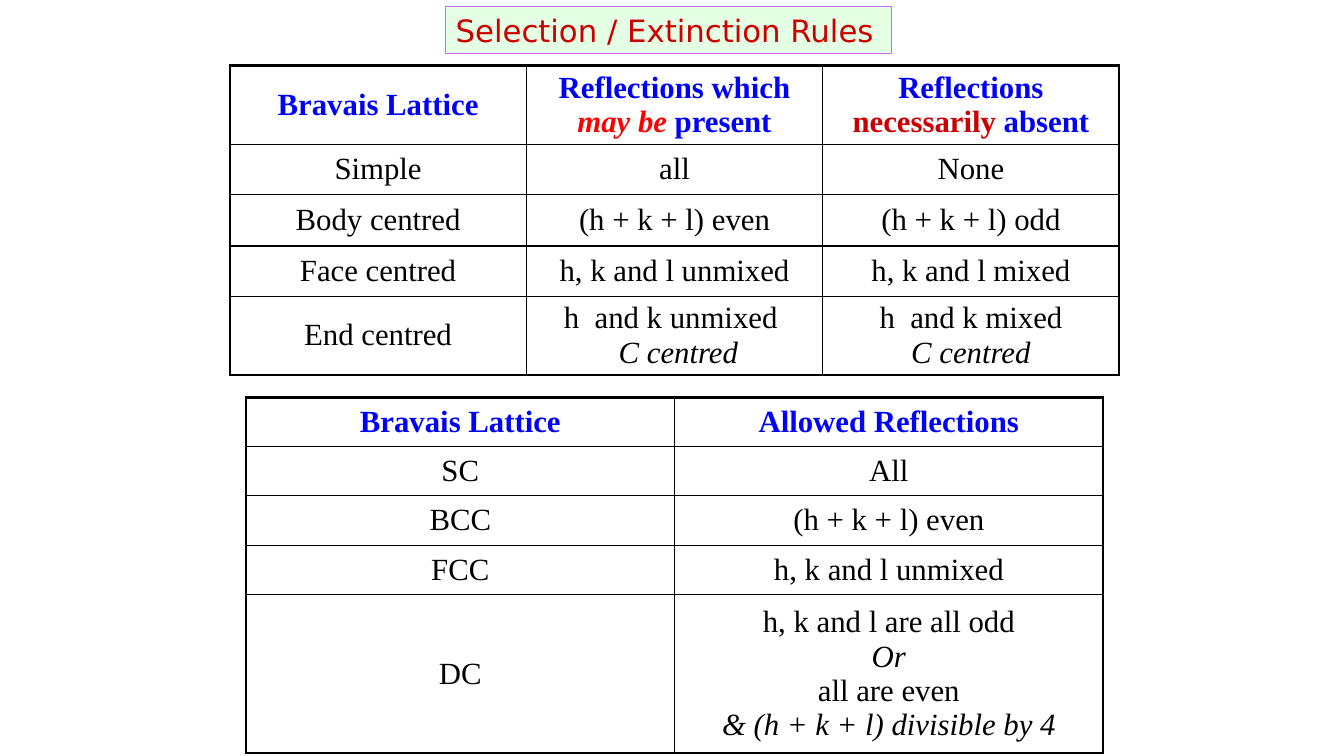
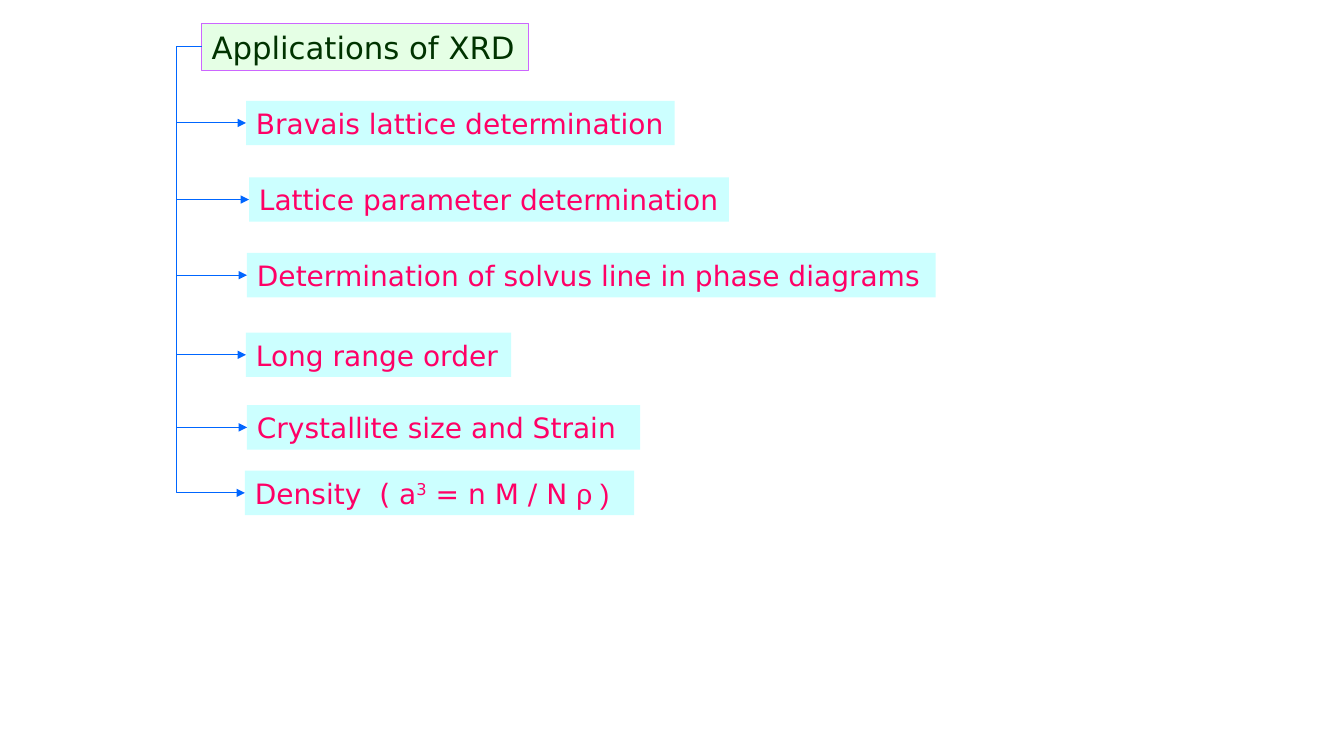
"""Build two slides on X-ray reflection rules and uses of XRD."""
from dataclasses import dataclass, replace

from lxml.etree import SubElement as Sub
from pptx import Presentation
from pptx.dml.color import RGBColor as Rgb
from pptx.enum.shapes import MSO_CONNECTOR as Link
from pptx.enum.text import MSO_ANCHOR as Anchor, PP_ALIGN as Align
from pptx.oxml.ns import qn
from pptx.shapes.autoshape import Shape
from pptx.slide import Slide
from pptx.table import _Cell as Cell
from pptx.text.text import TextFrame as Frame
from pptx.util import Inches, Pt

SANS, SERIF = "DejaVu Sans", "Times New Roman"
BLACK, BLUE, RED, BRICK = "000000", "0000FF", "FF0000", "CC0000"
MINT, LILAC, GREEN = "E5FFE5", "CC66FF", "003300"
AQUA, PINK, AZURE = "CCFFFF", "FF0066", "0066FF"
THICK, THIN = 2.25, 1
TRUNK = 1.75


@dataclass(frozen=True)
class Bit:
    text: str
    color: str = BLACK
    bold: bool = False
    slant: bool = False
    font: str = SERIF
    size: int = 22
    base: int = 0


@dataclass(frozen=True)
class Box:
    left: float
    top: float
    width: float
    height: float
    bits: list[Bit]
    fill: str
    edge: str = ""


@dataclass(frozen=True)
class Grid:
    left: float
    top: float
    cols: list[float]
    rows: list[float]
    cells: list[list[list[Bit]]]


def hue(code: str) -> Rgb:
    return Rgb.from_string(code)


def head(text: str, color: str = BLUE, slant: bool = False) -> Bit:
    return Bit(text, color, True, slant)


def it(text: str) -> Bit:
    return Bit(text, slant=True)


def row(*texts: str) -> list[list[Bit]]:
    return [[Bit(text)] for text in texts]


def write(frame: Frame, bits: list[Bit], align: Align) -> None:
    para = frame.paragraphs[0]
    para.alignment = align
    for bit in bits:
        for num, line in enumerate(bit.text.split("\n")):
            if num:
                para.add_line_break()
            if not line:
                continue
            run = para.add_run()
            run.text = line
            font = run.font
            font.name, font.size = bit.font, Pt(bit.size)
            font.bold, font.italic = bit.bold, bit.slant
            font.color.rgb = hue(bit.color)
            if bit.base:
                run._r.get_or_add_rPr().set("baseline", str(bit.base * 1000))


def draw_box(slide: Slide, box: Box) -> Shape:
    shape = slide.shapes.add_textbox(
        *map(Inches, (box.left, box.top, box.width, box.height)))
    shape.fill.solid()
    shape.fill.fore_color.rgb = hue(box.fill)
    if box.edge:
        shape.line.color.rgb = hue(box.edge)
        shape.line.width = Pt(0.5)
    frame = shape.text_frame
    frame.word_wrap = True
    frame.margin_right = 0
    frame.vertical_anchor = Anchor.MIDDLE
    write(frame, box.bits, Align.LEFT)
    return shape


def title(left: float, top: float, width: float, text: str, color: str) -> Box:
    return Box(left, top, width, 0.47, [Bit(text, color, font=SANS)], MINT, LILAC)


def rule(cell: Cell, sides: dict[str, float]) -> None:
    props = cell._tc.get_or_add_tcPr()
    for side, width in sides.items():
        line = Sub(props, qn(f"a:ln{side}"), w=str(Pt(width)))
        Sub(Sub(line, qn("a:solidFill")), qn("a:srgbClr"), val=BLACK)
    cell.fill.background()


def draw_grid(slide: Slide, grid: Grid) -> None:
    wide, high = len(grid.cols), len(grid.rows)
    table = slide.shapes.add_table(
        high, wide, Inches(grid.left), Inches(grid.top),
        Inches(sum(grid.cols)), Inches(sum(grid.rows))).table
    table.first_row = table.horz_banding = False
    for col, width in zip(table.columns, grid.cols):
        col.width = Inches(width)
    for y, height in enumerate(grid.rows):
        table.rows[y].height = Inches(height)
        for x, bits in enumerate(grid.cells[y]):
            cell = table.cell(y, x)
            cell.vertical_anchor = Anchor.MIDDLE
            write(cell.text_frame, bits, Align.CENTER)
            outer = {"L": x == 0, "R": x == wide - 1,
                     "T": y == 0, "B": y == high - 1}
            rule(cell, {k: THICK if out else THIN for k, out in outer.items()})


def branch(slide: Slide, root: Shape, leaf: Shape) -> None:
    link = slide.shapes.add_connector(Link.ELBOW, 0, 0, 0, 0)
    link.begin_connect(root, 1)
    link.end_connect(leaf, 1)
    link.line.color.rgb = hue(AZURE)
    link.line.width = Pt(0.75)
    props = link._element.spPr
    Sub(link.line._get_or_add_ln(), qn("a:tailEnd"), type="triangle")
    Sub(props, qn("a:effectLst"))
    for key, val in (("rot", "10800000"), ("flipH", "1"), ("flipV", "1")):
        props.find(qn("a:xfrm")).set(key, val)
    bend = round((Inches(TRUNK) - root.left) / (leaf.left - root.left) * 100000)
    guides = props.find(qn("a:prstGeom")).get_or_add_avLst()
    Sub(guides, qn("a:gd"), name="adj1", fmla=f"val {bend}")


RULES = Grid(2.28, 0.65, [2.94] * 3, [0.78, 0.5, 0.51, 0.5, 0.78], [
    [[head("Bravais Lattice")],
     [head("Reflections which "), head("may be ", RED, True), head("present")],
     [head("Reflections "), head("necessarily", BRICK), head(" absent")]],
    row("Simple", "all", "None"),
    row("Body centred", "(h + k + l) even", "(h + k + l) odd"),
    row("Face centred", "h, k and l unmixed", "h, k and l mixed"),
    [[Bit("End centred")],
     [Bit("h  and k unmixed \n "), it("C centred")],
     [Bit("h  and k mixed\n"), it("C centred")]],
])

ALLOWED = Grid(2.44, 3.94, [4.25] * 2, [0.49] * 4 + [1.57], [
    [[head("Bravais Lattice")], [head("Allowed Reflections")]],
    row("SC", "All"),
    row("BCC", "(h + k + l) even"),
    row("FCC", "h, k and l unmixed"),
    [[Bit("DC")],
     [Bit("h, k and l are all odd\n"), it("Or\n"), Bit("all are even\n"),
      it("& (h + k + l) divisible by 4")]],
])

ITEM = Bit("", PINK, font=SANS, size=20)
USES = [
    (2.44, 1.0, 4.25, "Bravais lattice determination"),
    (2.47, 1.76, 4.76, "Lattice parameter determination"),
    (2.45, 2.51, 6.83, "Determination of solvus line in phase diagrams"),
    (2.44, 3.3, 2.63, "Long range order"),
    (2.45, 4.02, 3.9, "Crystallite size and Strain"),
    (2.43, 4.67, 3.86, "Density  ( a"),
]
DENSITY = [replace(ITEM, text="3", base=30), replace(ITEM, text=" = n M / N "),
           replace(ITEM, text="ρ )", font="Arial")]


def main() -> None:
    deck = Presentation()
    deck.slide_width, deck.slide_height = Inches(13.33), Inches(7.5)
    blank = deck.slide_layouts[6]

    slide = deck.slides.add_slide(blank)
    draw_grid(slide, RULES)
    draw_grid(slide, ALLOWED)
    draw_box(slide, title(4.42, 0.06, 4.42, "Selection / Extinction Rules", BRICK))

    slide = deck.slides.add_slide(blank)
    root = draw_box(slide, title(2, 0.23, 3.24, "Applications of XRD", GREEN))
    for left, top, width, text in USES:
        bits = [replace(ITEM, text=text)]
        if text.startswith("Density"):
            bits += DENSITY
        leaf = draw_box(slide, Box(left, top, width, 0.44, bits, AQUA))
        branch(slide, root, leaf)

    deck.save("out.pptx")


if __name__ == "__main__":
    main()
